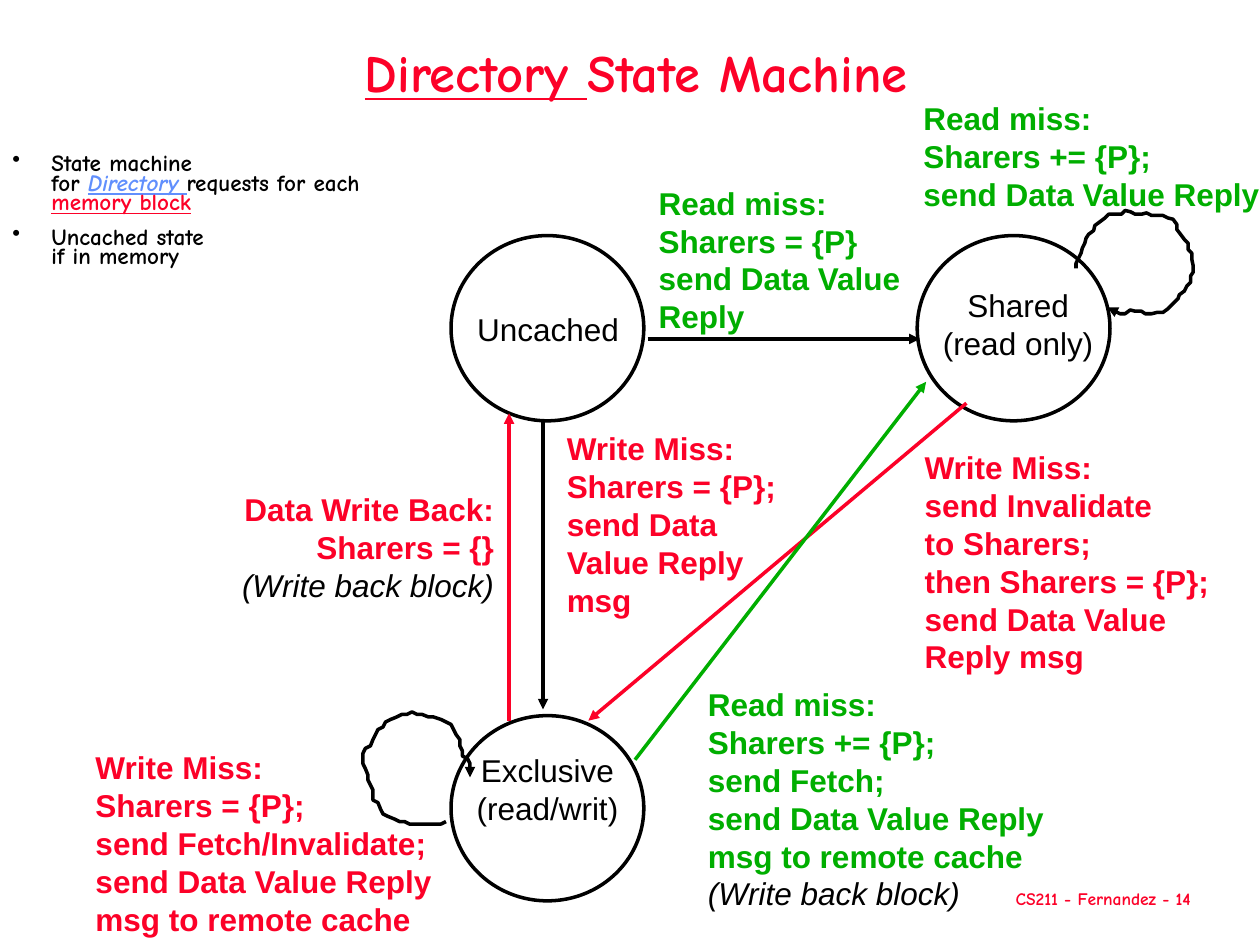
from lxml.etree import SubElement
from pptx import Presentation
from pptx.dml.color import RGBColor
from pptx.enum.shapes import MSO_CONNECTOR as Connector, MSO_SHAPE as Shape
from pptx.enum.text import MSO_ANCHOR as Anchor, PP_ALIGN as Align
from pptx.oxml.ns import qn
from pptx.util import Inches, Pt

COLORS = {"red": "FC0128", "green": "00AE00", "black": "000000",
          "blue": "618FFD", "white": "FFFFFF"}
COMIC, SANS = "Comic Neue", "Arial"
LINE_WIDTH = 2

# A span is (text, changes to the format of its box)
TITLE = [[("Directory ", {"underline": True}), ("State Machine", {})]]
NOTES = [
    [("State machine\nfor ", {}),
     ("Directory ", {"color": "blue", "italic": True, "underline": True}),
     ("requests for each \n", {}),
     ("memory block", {"color": "red", "underline": True})],
    [("Uncached state\nif in memory", {})],
]
FOOTER = [[("CS211 - Fernandez - 14", {})]]
WRITE_BACK = ("(Write back block)", {"color": "black", "bold": False, "italic": True})

# (left, top, width, height), lines
STATE_NAMES = [
    ((3.6, 2.41, 1.5, 0.4), ["Uncached"]),
    ((7.37, 2.22, 1.42, 0.7), ["Shared", "(read only)"]),
    ((3.64, 5.91, 1.41, 0.7), ["Exclusive", "(read/writ)"]),
]
CIRCLE_SIZE = (1.53, 1.47)
CIRCLES = [(3.58, 1.87), (7.28, 1.87), (3.58, 5.68)]

# (left, top, width, height), colour, alignment, filled, lines
ACTIONS = [
    ((1.82, 3.84, 2.2, 1), "red", Align.RIGHT, False,
     ["Data Write Back:", "Sharers = {}", WRITE_BACK]),
    ((5.13, 1.41, 2.2, 1.6), "green", Align.LEFT, True,
     ["Read miss:", "Sharers = {P}", "send Data Value", "Reply"]),
    ((7.24, 3.51, 2.46, 2.2), "red", Align.LEFT, True,
     ["Write Miss:", "send Invalidate", "to Sharers;", "then Sharers = {P};",
      "send Data Value", "Reply msg"]),
    ((4.4, 3.36, 1.93, 1.6), "red", Align.LEFT, True,
     ["Write Miss:", "Sharers = {P};", "send Data", "Value Reply", "msg"]),
    ((5.52, 5.39, 3.03, 1.9), "green", Align.LEFT, False,
     ["Read miss:", "Sharers += {P};", "send Fetch;", "send Data Value Reply",
      "msg to remote cache", WRITE_BACK]),
    ((7.23, 0.74, 2.88, 1), "green", Align.LEFT, False,
     ["Read miss:", "Sharers += {P};", "send Data Value Reply"]),
    ((0.66, 5.89, 3.03, 1.6), "red", Align.LEFT, False,
     ["Write Miss:", "Sharers = {P};", "send Fetch/Invalidate;",
      "send Data Value Reply", "msg to remote cache"]),
]

# from, to (the end with the arrowhead), colour
ARROWS = [
    ((5.14, 2.69), (7.3, 2.69), "black"),
    ((4.31, 3.35), (4.31, 5.63), "black"),
    ((4.04, 5.72), (4.04, 3.28), "red"),
    ((7.67, 3.2), (4.67, 5.72), "red"),
    ((5.04, 6.03), (7.35, 3.03), "green"),
]

# Hand-drawn loops from a state back to itself
SHARED_LOOP = [
    (8.54, 2.13), (8.54, 2.09), (8.56, 2.05), (8.58, 2.01), (8.59, 1.97), (8.61, 1.93),
    (8.62, 1.89), (8.64, 1.86), (8.68, 1.83), (8.69, 1.79), (8.73, 1.76), (8.77, 1.73),
    (8.8, 1.7), (8.85, 1.7), (8.9, 1.7), (8.93, 1.67), (8.97, 1.68), (9.01, 1.7),
    (9.06, 1.7), (9.1, 1.69), (9.14, 1.71), (9.19, 1.71), (9.23, 1.71), (9.27, 1.73),
    (9.31, 1.74), (9.34, 1.78), (9.34, 1.82), (9.37, 1.86), (9.4, 1.9), (9.43, 1.93),
    (9.43, 1.98), (9.46, 2.01), (9.46, 2.06), (9.47, 2.11), (9.47, 2.16), (9.45, 2.19),
    (9.45, 2.24), (9.42, 2.27), (9.4, 2.31), (9.36, 2.34), (9.35, 2.37), (9.3, 2.42),
    (9.27, 2.45), (9.23, 2.48), (9.18, 2.48), (9.14, 2.49), (9.09, 2.49), (9.06, 2.47),
    (9.01, 2.47), (8.97, 2.46), (8.93, 2.49), (8.89, 2.49), (8.85, 2.47), (8.81, 2.46),
    (8.79, 2.44),
]
EXCLUSIVE_LOOP = [
    (3.54, 6.52), (3.5, 6.54), (3.46, 6.54), (3.42, 6.54), (3.37, 6.54), (3.33, 6.54),
    (3.29, 6.54), (3.25, 6.54), (3.21, 6.52), (3.17, 6.52), (3.13, 6.5), (3.08, 6.48),
    (3.04, 6.46), (3.02, 6.42), (3, 6.37), (2.96, 6.35), (2.96, 6.31), (2.96, 6.27),
    (2.94, 6.23), (2.92, 6.19), (2.92, 6.15), (2.9, 6.1), (2.88, 6.06), (2.88, 6.02),
    (2.88, 5.98), (2.9, 5.94), (2.94, 5.92), (2.96, 5.87), (2.98, 5.83), (3, 5.79),
    (3.04, 5.77), (3.06, 5.73), (3.1, 5.71), (3.15, 5.69), (3.19, 5.67), (3.23, 5.67),
    (3.27, 5.65), (3.31, 5.67), (3.35, 5.67), (3.4, 5.69), (3.44, 5.69), (3.5, 5.71),
    (3.54, 5.73), (3.58, 5.75), (3.6, 5.79), (3.62, 5.83), (3.65, 5.87), (3.65, 5.92),
    (3.67, 5.96), (3.67, 6), (3.71, 6.02), (3.73, 6.06), (3.73, 6.1), (3.73, 6.15),
    (3.73, 6.17),
]


def rgb(name):
    return RGBColor.from_string(COLORS[name])


def inches(values):
    return [Inches(value) for value in values]


def add_span(para, text, size, font, color, bold=False, italic=False, underline=False):
    for number, line in enumerate(text.split("\n")):
        if number:
            para.add_line_break()
        if line:
            span = para.add_run()
            span.text = line
            span.font.size, span.font.name = Pt(size), font
            span.font.color.rgb = rgb(color)
            span.font.bold, span.font.italic = bold, italic
            span.font.underline = underline


def add_bullet(para, indent):
    properties = para._p.get_or_add_pPr()
    properties.set("marL", str(Inches(indent)))
    properties.set("indent", str(-Inches(indent)))
    color = SubElement(properties, qn("a:buClr"))
    SubElement(color, qn("a:srgbClr"), val=COLORS["black"])
    SubElement(properties, qn("a:buChar"), char="•")


def add_text(page, place, paragraphs, align=Align.LEFT, anchor=Anchor.TOP, wrap=False,
             filled=False, bullets=False, spacing=None, gap=0, **style):
    box = page.shapes.add_textbox(*inches(place))
    if filled:
        box.fill.solid()
        box.fill.fore_color.rgb = rgb("white")
    frame = box.text_frame
    frame.word_wrap, frame.vertical_anchor = wrap, anchor
    for number, spans in enumerate(paragraphs):
        para = frame.add_paragraph() if number else frame.paragraphs[0]
        if bullets:
            add_bullet(para, 0.31)
        para.alignment, para.line_spacing = align, spacing
        if number and gap:
            para.space_before = Pt(gap)
        for text, changes in spans:
            add_span(para, text, **{**style, **changes})


def as_paragraphs(lines):
    return [[line if isinstance(line, tuple) else (line, {})] for line in lines]


def set_line(shape, color, arrow=False):
    shape.line.color.rgb = rgb(color)
    shape.line.width = Pt(LINE_WIDTH)
    if arrow:
        SubElement(shape.line._get_or_add_ln(), qn("a:tailEnd"), type="triangle")


def add_circle(page, corner):
    circle = page.shapes.add_shape(Shape.OVAL, *inches(corner + CIRCLE_SIZE))
    circle.shadow.inherit = False
    circle.fill.background()
    set_line(circle, "black")


def add_arrow(page, start, end, color):
    arrow = page.shapes.add_connector(Connector.STRAIGHT, *inches(start + end))
    set_line(arrow, color, arrow=True)
    SubElement(arrow._element.spPr, qn("a:effectLst"))


def add_loop(page, points):
    start, *others = [inches(point) for point in points]
    builder = page.shapes.build_freeform(*start)
    builder.add_line_segments(others, close=False)
    loop = builder.convert_to_shape()
    loop.shadow.inherit = False
    loop.fill.background()
    set_line(loop, "black", arrow=True)


def main():
    deck = Presentation()
    deck.slide_width, deck.slide_height = inches((10, 7.5))
    page = deck.slides.add_slide(deck.slide_layouts[6])

    add_text(page, (7.72, 7, 2.07, 0.26), FOOTER, align=Align.CENTER,
             size=10, font=COMIC, color="red", bold=True)
    add_text(page, (0.58, 0.31, 8.94, 0.58), TITLE, align=Align.CENTER, wrap=True,
             anchor=Anchor.MIDDLE, spacing=0.9, size=30, font=COMIC, color="red", bold=True)
    add_text(page, (0, 1.19, 3.96, 1.06), NOTES, wrap=True, bullets=True, spacing=0.7,
             gap=9, size=13.2, font=COMIC, color="black", bold=True)
    for place, lines in STATE_NAMES:
        add_text(page, place, as_paragraphs(lines), align=Align.CENTER, filled=True,
                 size=18, font=SANS, color="black")
    for place, color, align, filled, lines in ACTIONS:
        add_text(page, place, as_paragraphs(lines), align=align, filled=filled,
                 size=18, font=SANS, color=color, bold=True)
    for corner in CIRCLES:
        add_circle(page, corner)
    for start, end, color in ARROWS:
        add_arrow(page, start, end, color)
    for points in (SHARED_LOOP, EXCLUSIVE_LOOP):
        add_loop(page, points)
    deck.save("out.pptx")


if __name__ == "__main__":
    main()
